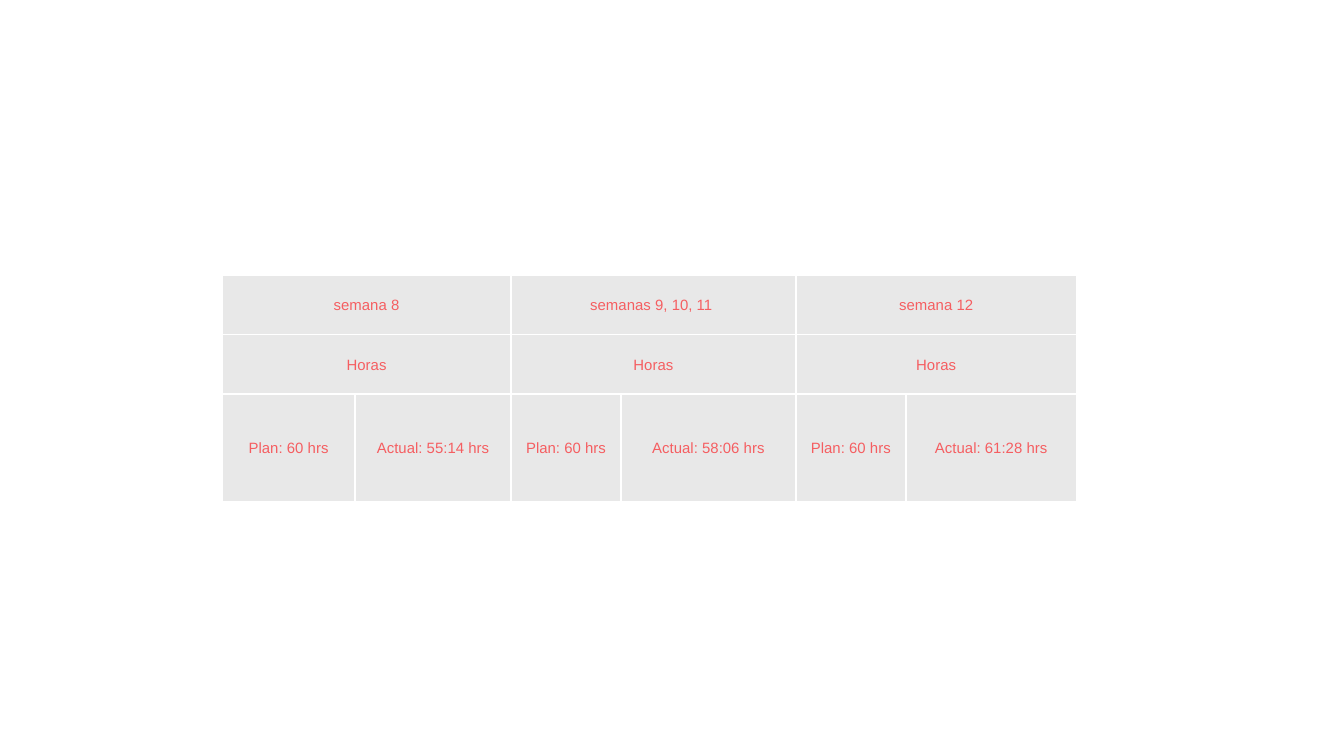
"""Build a slide with a table of planned and actual hours per week group."""
from dataclasses import dataclass

from lxml import etree
from pptx import Presentation
from pptx.dml.color import RGBColor
from pptx.enum.text import MSO_ANCHOR, PP_ALIGN
from pptx.oxml.ns import qn
from pptx.table import Table, _Cell
from pptx.util import Pt

CENTER = PP_ALIGN.CENTER
MIDDLE = MSO_ANCHOR.MIDDLE
BLANK_LAYOUT = 6
TEXT, FILL, BORDER = "F55E61", "E8E8E8", "FFFFFF"
ROW_HEIGHTS = (31.7, 31.7, 57.6)


@dataclass(frozen=True)
class WeekGroup:
    title: str
    plan: str
    actual: str
    plan_width: float
    actual_width: float


GROUPS = (
    WeekGroup("semana 8", "60", "55:14", 71.3, 83.5),
    WeekGroup("semanas 9, 10, 11 ", "60", "58:06", 59, 93.6),
    WeekGroup("semana 12", "60", "61:28", 59, 91.4),
)


def color(value: str) -> RGBColor:
    return RGBColor.from_string(value)


def write_text(cell: _Cell, text: str, *, size: float = 8,
               font: str = "Arial", fill: str = TEXT) -> None:
    p = cell.text_frame.paragraphs[0]
    p.alignment = CENTER
    r = p.add_run()
    r.text = text
    r.font.size = Pt(size)
    r.font.name = font
    r.font.color.rgb = color(fill)


def style_cell(cell: _Cell) -> None:
    tc_pr = cell._tc.get_or_add_tcPr()
    for side in ("lnL", "lnR", "lnT", "lnB"):
        ln = etree.SubElement(tc_pr, qn(f"a:{side}"), w=str(Pt(1)))
        solid = etree.SubElement(ln, qn("a:solidFill"))
        etree.SubElement(solid, qn("a:srgbClr"), val=BORDER)
    cell.fill.solid()
    cell.fill.fore_color.rgb = color(FILL)
    cell.vertical_anchor = MIDDLE
    cell.margin_left = cell.margin_top = cell.margin_right = Pt(0.7)
    cell.margin_bottom = Pt(0)


def fill_group(table: Table, col: int, group: WeekGroup) -> None:
    table.columns[col].width = Pt(group.plan_width)
    table.columns[col + 1].width = Pt(group.actual_width)
    for row, text in enumerate((group.title, "Horas")):
        table.cell(row, col).merge(table.cell(row, col + 1))
        write_text(table.cell(row, col), text)
    write_text(table.cell(2, col), f"Plan: {group.plan} hrs")
    write_text(table.cell(2, col + 1), f"Actual: {group.actual} hrs")


def main() -> None:
    prs = Presentation()
    prs.slide_width, prs.slide_height = Pt(720), Pt(405)
    s = prs.slides.add_slide(prs.slide_layouts[BLANK_LAYOUT])
    width = sum(g.plan_width + g.actual_width for g in GROUPS)
    table = s.shapes.add_table(
        len(ROW_HEIGHTS), 2 * len(GROUPS),
        Pt(119), Pt(147.6), Pt(width), Pt(sum(ROW_HEIGHTS))).table
    for row, height in zip(table.rows, ROW_HEIGHTS):
        row.height = Pt(height)
    for cell in table.iter_cells():
        style_cell(cell)
    for i, group in enumerate(GROUPS):
        fill_group(table, 2 * i, group)
    prs.save("out.pptx")


if __name__ == "__main__":
    main()
